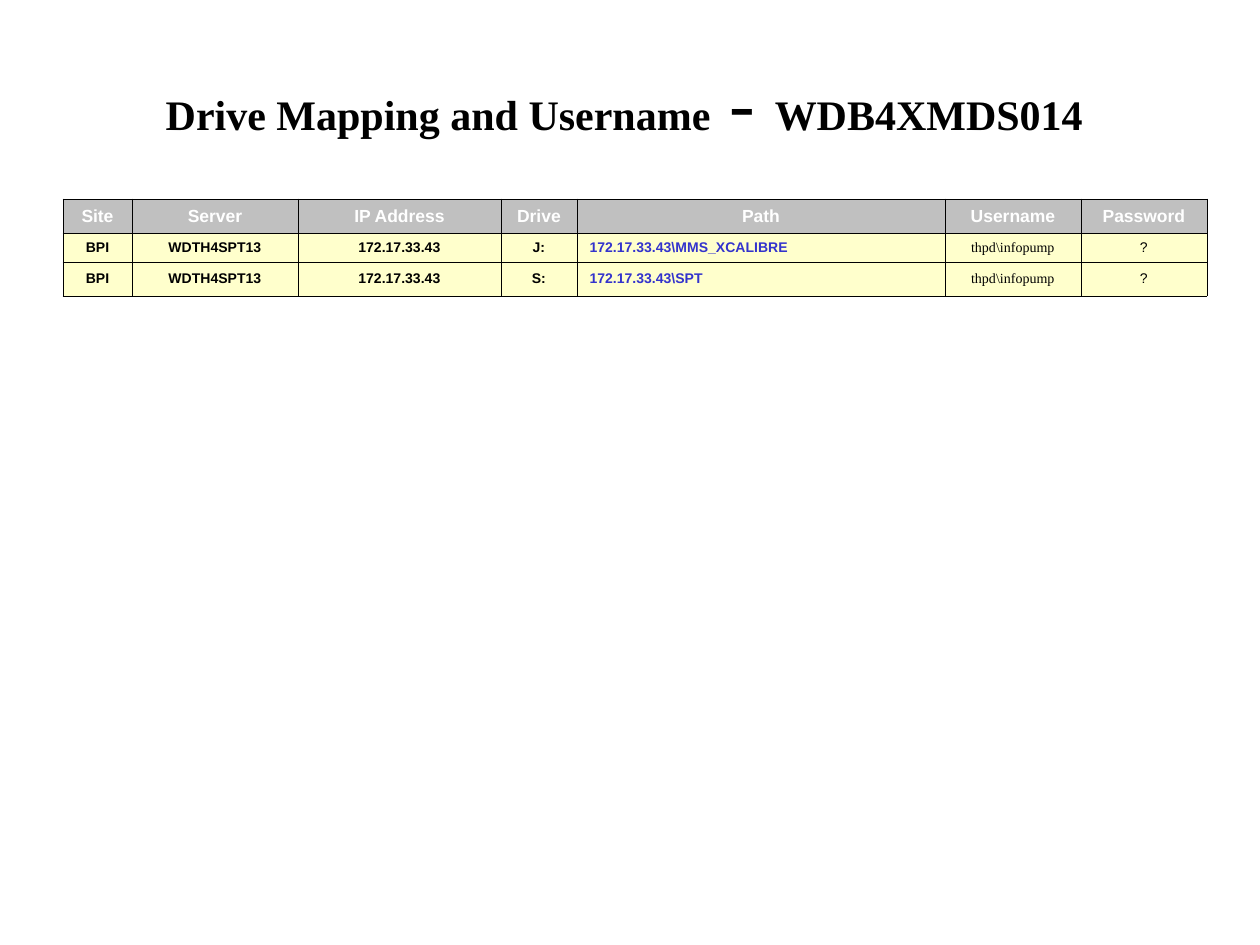
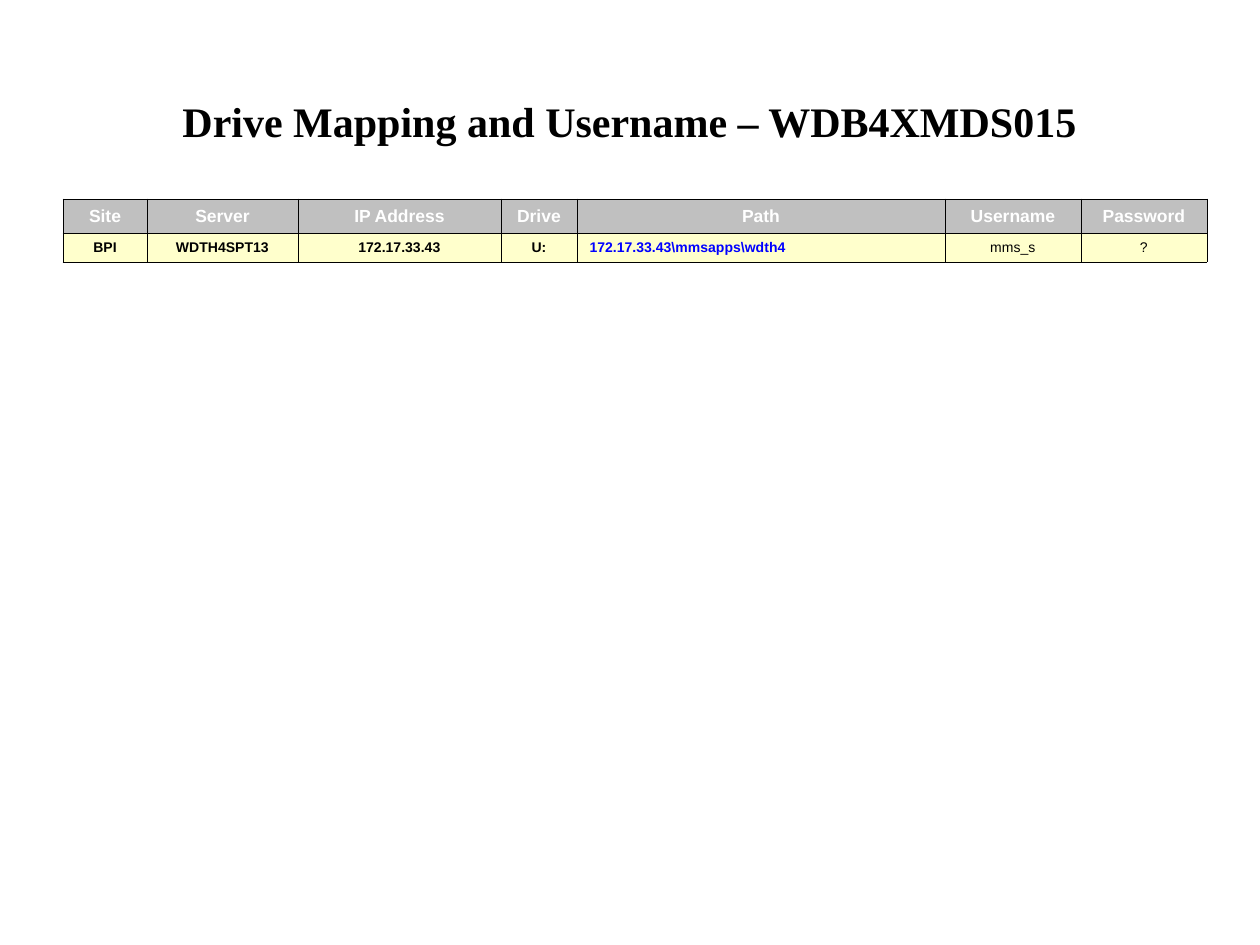
from lxml import etree
from pptx import Presentation
from pptx.dml.color import RGBColor
from pptx.enum.text import MSO_ANCHOR as ANCHOR, MSO_AUTO_SIZE as AUTO, PP_ALIGN as ALIGN
from pptx.oxml.ns import qn
from pptx.util import Emu, Pt

# Shared style
COLORS = {
    "black": "000000",
    "white": "FFFFFF",
    "header": "C0C0C0",
    "row": "FFFFCC",
    "indigo": "3333CC",
    "blue": "0000FF",
}
SERIF, SANS = "Times New Roman", "Arial"
PX_PER_INCH = 126
BORDER_PT = 0.45

# Shared table layout, in px
HEADERS = ["Site", "Server", "IP Address", "Drive", "Path", "Username", "Password"]
PATH, USERNAME, PASSWORD = 4, 5, 6
COMMON_WIDTHS = [203, 76, 368, 136, 126]
TABLE_LEFT, TABLE_TOP = 63, 199
ROW_HEIGHTS = [34, 29, 34]


def px(n):
    return Emu(round(n * 914400 / PX_PER_INCH))


def rgb(name):
    return RGBColor.from_string(COLORS[name])


def style_run(r, size, color="black", bold=True, font=SANS):
    r.font.name = font
    r.font.size = Pt(size)
    r.font.bold = bold
    r.font.color.rgb = rgb(color)


def add_title(slide, top, parts):
    """Fill the title placeholder with (text, size, bold) parts."""
    sp = slide.shapes.title
    sp.left, sp.top, sp.width, sp.height = px(94), px(top), px(1071), px(158)
    tf = sp.text_frame
    tf.word_wrap = True
    tf.auto_size = AUTO.NONE
    tf.vertical_anchor = ANCHOR.MIDDLE
    p = tf.paragraphs[0]
    p.alignment = ALIGN.CENTER
    for text, size, bold in parts:
        r = p.add_run()
        r.text = text
        style_run(r, size, bold=bold, font=SERIF)


def add_borders(cell):
    tc_pr = cell._tc.get_or_add_tcPr()
    for side in ("a:lnL", "a:lnR", "a:lnT", "a:lnB"):
        ln = etree.SubElement(tc_pr, qn(side), w=str(Pt(BORDER_PT)))
        fill = etree.SubElement(ln, qn("a:solidFill"))
        etree.SubElement(fill, qn("a:srgbClr"), val=COLORS["black"])


def fill_cell(cell, text, fill, size, align=ALIGN.CENTER, **font):
    add_borders(cell)
    cell.fill.solid()
    cell.fill.fore_color.rgb = rgb(fill)
    cell.vertical_anchor = ANCHOR.MIDDLE
    cell.text_frame.text = text
    p = cell.text_frame.paragraphs[0]
    p.alignment = align
    style_run(p.runs[0], size, **font)


def add_drive_table(slide, first_widths, rows, path_color, user_font):
    widths = first_widths + COMMON_WIDTHS
    heights = ROW_HEIGHTS[:len(rows) + 1]
    table = slide.shapes.add_table(
        len(heights), len(widths), px(TABLE_LEFT), px(TABLE_TOP),
        px(sum(widths)), px(sum(heights))).table
    table.first_row = table.horz_banding = False
    for column, width in zip(table.columns, widths):
        column.width = px(width)
    for row, height in zip(table.rows, heights):
        row.height = px(height)

    # Formats of the columns that differ from bold centred text
    formats = {
        PATH: {"align": ALIGN.LEFT, "color": path_color},
        USERNAME: {"bold": False, "font": user_font},
        PASSWORD: {"bold": False},
    }
    for j, header in enumerate(HEADERS):
        fill_cell(table.cell(0, j), header, "header", 10, color="white")
    for i, values in enumerate(rows, 1):
        for j, value in enumerate(values):
            fill_cell(table.cell(i, j), value, "row", 8, **formats.get(j, {}))


def drive_row(drive, folder, user):
    server_ip = "172.17.33.43"
    return ["BPI", "WDTH4SPT13", server_ip, drive, server_ip + folder, user, "?"]


def main():
    prs = Presentation()
    prs.slide_width, prs.slide_height = px(1260), px(945)
    title_only = prs.slide_layouts[5]

    # Drives of WDB4XMDS014
    slide = prs.slides.add_slide(title_only)
    add_title(slide, 21, [("Drive Mapping and Username", 24, True),
                          (" - ", 44, False),
                          ("WDB4XMDS014 ", 24, True)])
    add_drive_table(slide, [69, 166],
                    [drive_row("J:", r"\MMS_XCALIBRE", r"thpd\infopump"),
                     drive_row("S:", r"\SPT", r"thpd\infopump")],
                    "indigo", SERIF)

    # Drives of WDB4XMDS015
    slide = prs.slides.add_slide(title_only)
    add_title(slide, 42, [("Drive Mapping and Username – WDB4XMDS015", 24, True)])
    add_drive_table(slide, [84, 151],
                    [drive_row("U:", r"\mmsapps\wdth4", "mms_s")],
                    "blue", SANS)

    prs.save("out.pptx")


if __name__ == "__main__":
    main()
